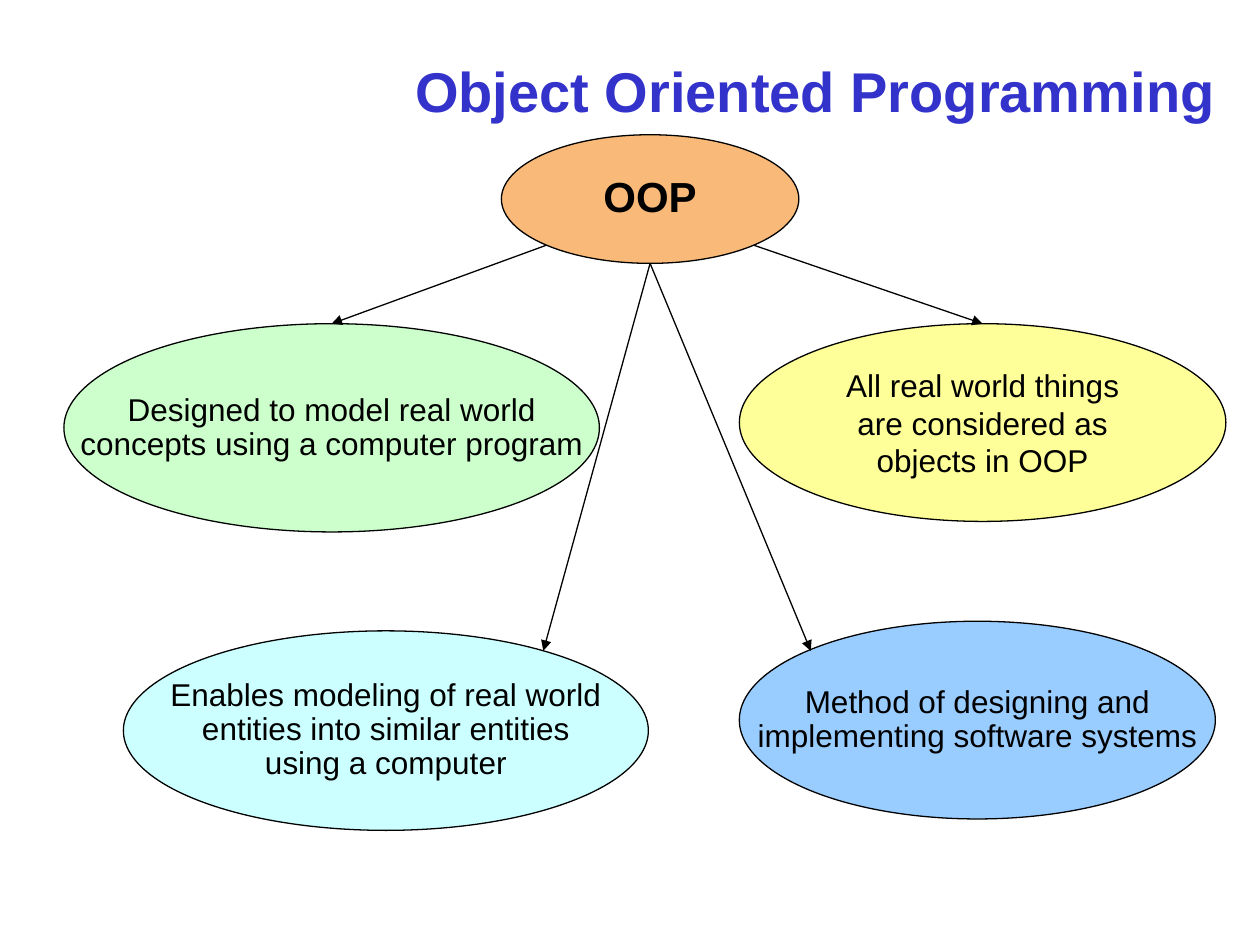
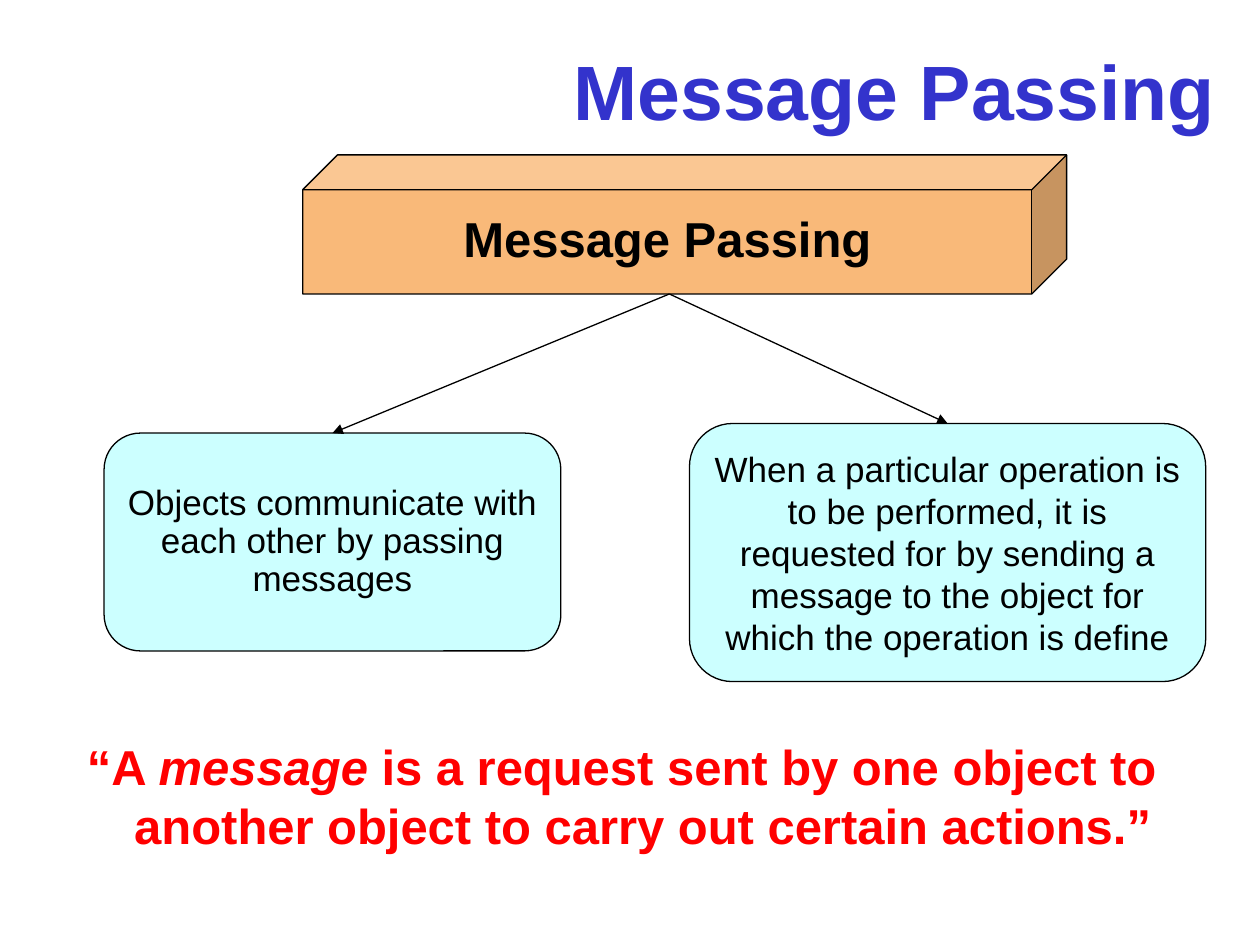
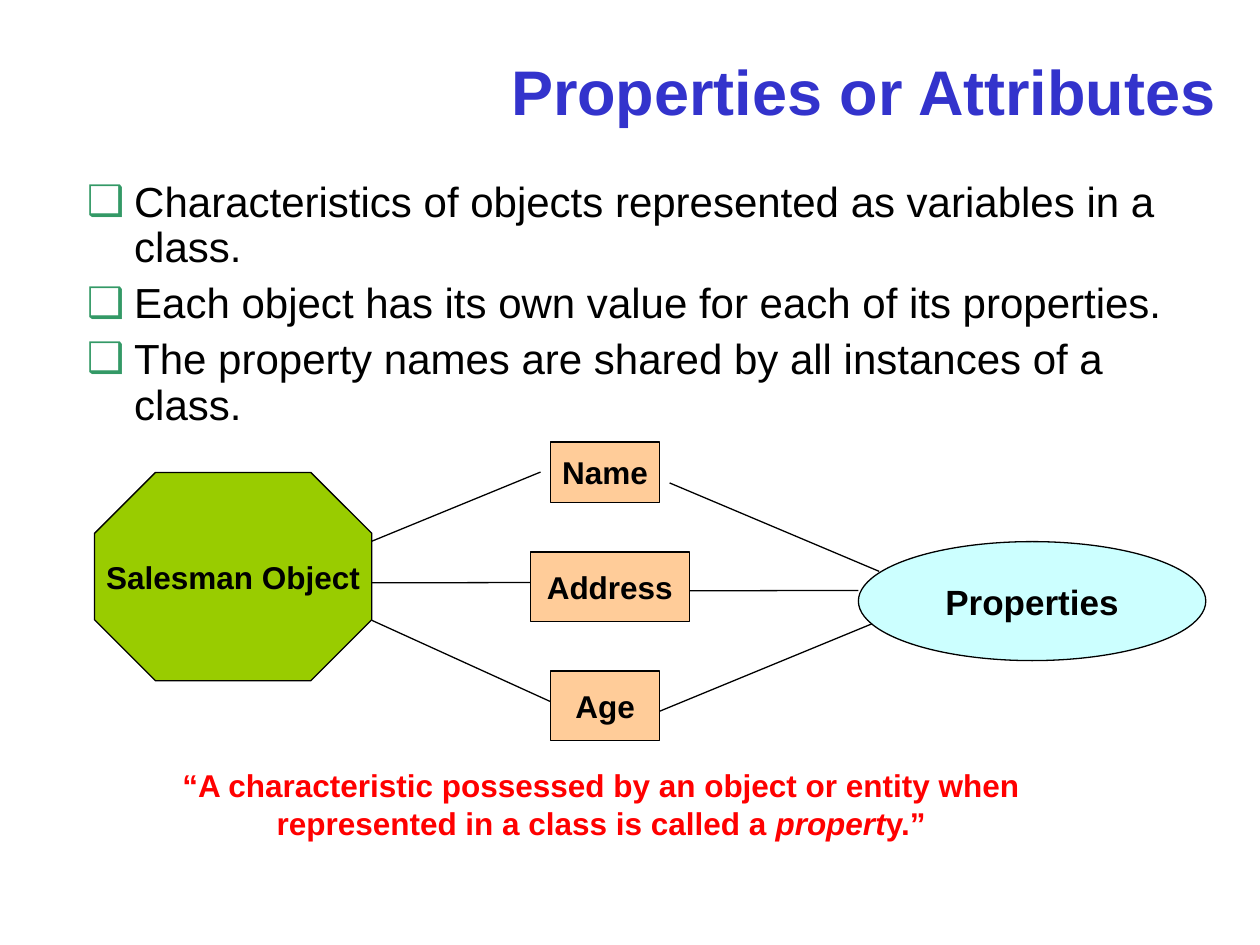
from dataclasses import dataclass
from lxml.etree import SubElement as Sub
from pptx import Presentation
from pptx.dml.color import RGBColor as Rgb
from pptx.enum.shapes import MSO_CONNECTOR as Wire, MSO_SHAPE as Form
from pptx.enum.text import MSO_ANCHOR as Anchor, MSO_AUTO_SIZE as Fit, PP_ALIGN as Align
from pptx.oxml.ns import qn
from pptx.util import Pt


# Theme
@dataclass(frozen=True)
class Theme:
    font: str = "Arial"
    ink: str = "000000"
    title: str = "3333CC"
    quote: str = "FF0000"
    tick: str = "339966"
    orange: str = "F9B979"
    peach: str = "FFCC99"
    yellow: str = "FFFF99"
    aqua: str = "CCFFFF"
    blue: str = "99CCFF"
    mint: str = "CCFFCC"
    green: str = "99CC00"
    small: int = 18
    mid: int = 20
    list: int = 24
    large: int = 28
    rule: float = 0.75
    tight: float = 0.9
    indent: int = 27


T = Theme()
HEAD = (54, 20, 648, 63)
TIGHT = dict(gap=T.tight, wrap=False)
BOLD = dict(bold=True, wrap=False)

# Content: nodes are name: (form, box, fill, lines, format)
# links are (node, spot, node, spot), each spot a share of the node's box
# asterisks enclose italics
TOP, LOW, EAST = (0.5, 0), (0.5, 1), (1, 0.53)
SLIDES = [
    dict(
        title="Object Oriented Programming", size=32, arrow=True,
        nodes={
            "things": (Form.OVAL, (422.5, 185, 278, 113), T.yellow,
                       ["All real world things are considered as objects in OOP"], {}),
            "model": (Form.OVAL, (70.5, 360.5, 300, 114), T.aqua,
                      ["Enables modeling of real world", "entities into similar entities",
                       "using a computer"], TIGHT),
            "method": (Form.OVAL, (422.5, 355, 272, 113), T.blue,
                       ["Method of designing and", "implementing software systems"], TIGHT),
            "design": (Form.OVAL, (36.5, 185, 306, 119), T.mint,
                       ["Designed to model real world", "concepts using a computer program"],
                       TIGHT),
            "oop": (Form.OVAL, (286.5, 77, 170, 73.5), T.orange, ["OOP"],
                    dict(TIGHT, bold=True, size=T.list)),
        },
        links=[
            ("oop", (0.15, 0.86), "design", TOP),
            ("oop", LOW, "model", (0.8, 0.1)),
            ("oop", LOW, "method", (0.15, 0.15)),
            ("oop", (0.85, 0.86), "things", TOP),
        ],
    ),
    dict(
        title="Message Passing", size=44, arrow=True,
        body=dict(box=(42.5, 417.5, 648, 77), size=T.large, color=T.quote, bold=True,
                  lines=["“A *message* is a request sent by one object to another object "
                         "to carry out certain actions.”"]),
        nodes={
            "pass": (Form.CUBE, (173, 88.5, 436.5, 79.5), T.orange, ["Message Passing"],
                     dict(TIGHT, bold=True, size=T.large)),
            "request": (Form.ROUNDED_RECTANGLE, (394, 242, 295, 147.5), T.aqua,
                        ["When a particular operation is to be performed, it is requested for "
                         "by sending a message to the object for which the operation is define"],
                        dict(size=T.mid)),
            "talk": (Form.ROUNDED_RECTANGLE, (59.5, 247.5, 261, 124.5), T.aqua,
                     ["Objects communicate with each other by passing messages"],
                     dict(size=T.mid, gap=T.tight)),
        },
        links=[("pass", (0.48, 1), "talk", TOP), ("pass", (0.48, 1), "request", TOP)],
    ),
    dict(
        title="Properties or Attributes", size=36, arrow=False,
        body=dict(box=(42.5, 100, 648, 440), size=T.list, gap=T.tight, before=6, bullet="❑",
                  lines=["Characteristics of objects represented as variables in a class.",
                         "Each object has its own value for each of its properties.",
                         "The property names are shared by all instances of a class."]),
        nodes={
            "addr": (Form.RECTANGLE, (303, 315.5, 91, 39.5), T.peach, ["Address"], BOLD),
            "name": (Form.RECTANGLE, (314.5, 252.5, 62.5, 34.5), T.peach, ["Name"], BOLD),
            "sales": (Form.OCTAGON, (54, 270, 158.5, 119), T.green, ["Salesman Object"], BOLD),
            "props": (Form.OVAL, (490.5, 309.5, 198.5, 68), T.aqua, ["Properties"],
                      dict(BOLD, size=T.mid)),
            "age": (Form.RECTANGLE, (314.5, 383.5, 62.5, 39.5), T.peach, ["Age"], BOLD),
        },
        links=[
            ("sales", (1, 0.33), "name", (-0.09, 0.5)),
            ("sales", EAST, "addr", (0, 0.44)),
            ("sales", (1, 0.71), "age", (0, 0.44)),
            ("name", (1.09, 0.68), "props", (0.06, 0.25)),
            ("addr", (1, 0.56), "props", (0, 0.41)),
            ("age", (1, 0.58), "props", (0.04, 0.69)),
        ],
        quote=dict(box=(42.5, 434, 584, 50.5),
                   lines=["“A characteristic possessed by an object or entity when "
                          "represented in a class is called a *propert*y.”"]),
    ),
]


# Helpers
def pts(vals):
    return [Pt(v) for v in vals]


def place(shape, box):
    shape.left, shape.top, shape.width, shape.height = pts(box)


def hang(para, bullet):
    props = para._p.get_or_add_pPr()
    props.set("marL", str(Pt(T.indent)))
    props.set("indent", str(-Pt(T.indent)))
    if bullet:
        Sub(Sub(props, qn("a:buClr")), qn("a:srgbClr"), val=T.tick)
        Sub(props, qn("a:buChar"), char=bullet)
    else:
        Sub(props, qn("a:buNone"))


def write(shape, lines, size=T.small, color=T.ink, bold=False, align=Align.CENTER,
          anchor=Anchor.MIDDLE, gap=1.0, before=0, wrap=True, body=False, bullet=None):
    frame = shape.text_frame
    frame.auto_size, frame.word_wrap = Fit.NONE, wrap
    frame.vertical_anchor = anchor
    for n, line in enumerate(lines):
        para = frame.add_paragraph() if n else frame.paragraphs[0]
        if body:
            hang(para, bullet)
        para.alignment, para.line_spacing = align, gap
        para.space_before = Pt(before if n else 0)
        for k, part in enumerate(line.split("*")):
            run = para.add_run()
            run.text = part
            font = run.font
            font.name, font.size = T.font, Pt(size)
            font.bold, font.italic = bold, k % 2 == 1
            font.color.rgb = Rgb.from_string(color)


def ink(line):
    line.color.rgb, line.width = Rgb.from_string(T.ink), Pt(T.rule)


def draw(slide, form, box, fill, lines, fmt):
    shape = slide.shapes.add_shape(form, *pts(box))
    shape.shadow.inherit = False
    shape.fill.solid()
    shape.fill.fore_color.rgb = Rgb.from_string(fill)
    ink(shape.line)
    write(shape, lines, **fmt)


def spot(box, share):
    x, y, w, h = box
    return x + w * share[0], y + h * share[1]


def link(slide, start, end, arrow):
    wire = slide.shapes.add_connector(Wire.STRAIGHT, *pts(start + end))
    ink(wire.line)
    if arrow:
        Sub(wire.line._get_or_add_ln(), qn("a:tailEnd"), type="triangle")
    Sub(wire._element.spPr, qn("a:effectLst"))


# Slides
def build(deck, data):
    body, quote, nodes = data.get("body"), data.get("quote"), data["nodes"]
    slide = deck.slides.add_slide(deck.slide_layouts[1 if body else 5])
    title = slide.shapes.title
    place(title, HEAD)
    write(title, [data["title"]], size=data["size"], color=T.title, bold=True,
          align=Align.RIGHT)
    if body:
        fmt = dict(body)
        text = slide.placeholders[1]
        place(text, fmt.pop("box"))
        write(text, body=True, align=Align.LEFT, anchor=Anchor.TOP, **fmt)
    for node in nodes.values():
        draw(slide, *node)
    for a, out, b, into in data["links"]:
        link(slide, spot(nodes[a][1], out), spot(nodes[b][1], into), data["arrow"])
    if quote:
        text = slide.shapes.add_textbox(*pts(quote["box"]))
        text.text_frame.margin_left, text.text_frame.margin_right = Pt(18), Pt(0)
        write(text, quote["lines"], color=T.quote, bold=True)


def main():
    deck = Presentation()
    deck.slide_width, deck.slide_height = Pt(720), Pt(540)
    for data in SLIDES:
        build(deck, data)
    deck.save("out.pptx")


if __name__ == "__main__":
    main()
